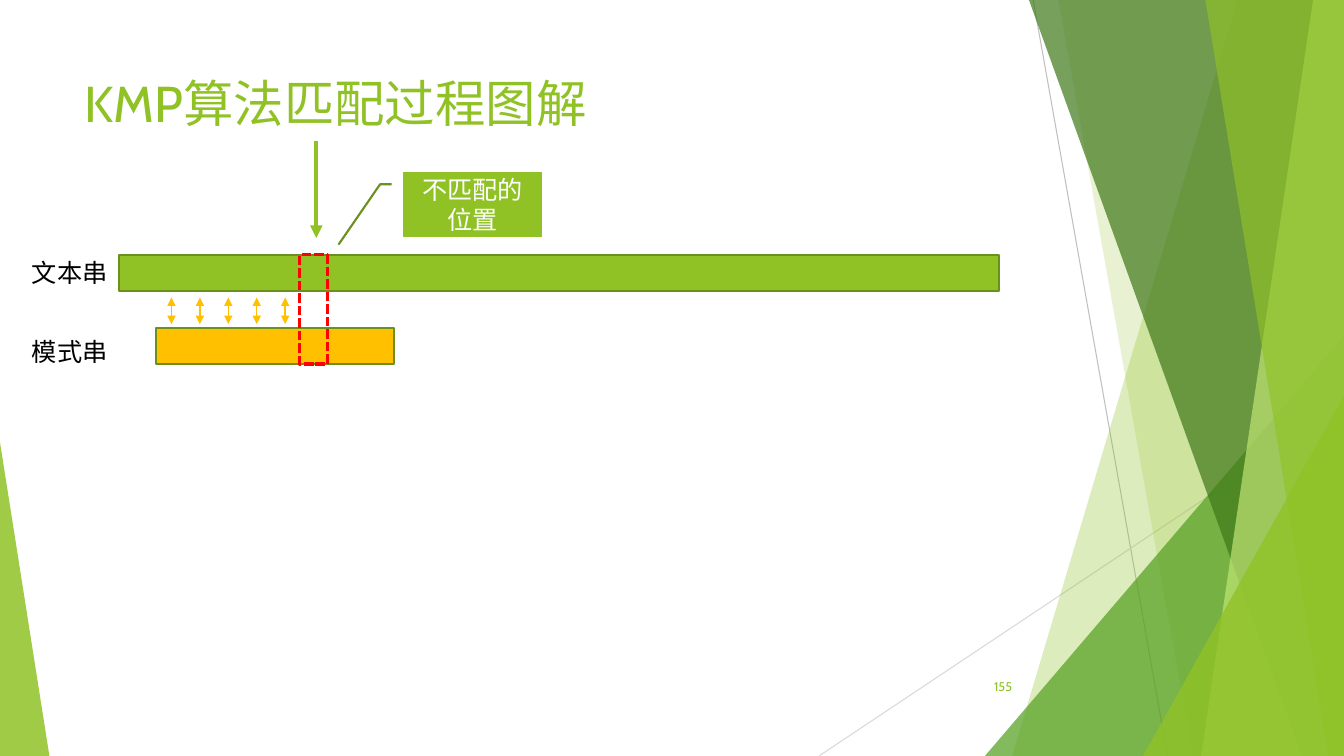
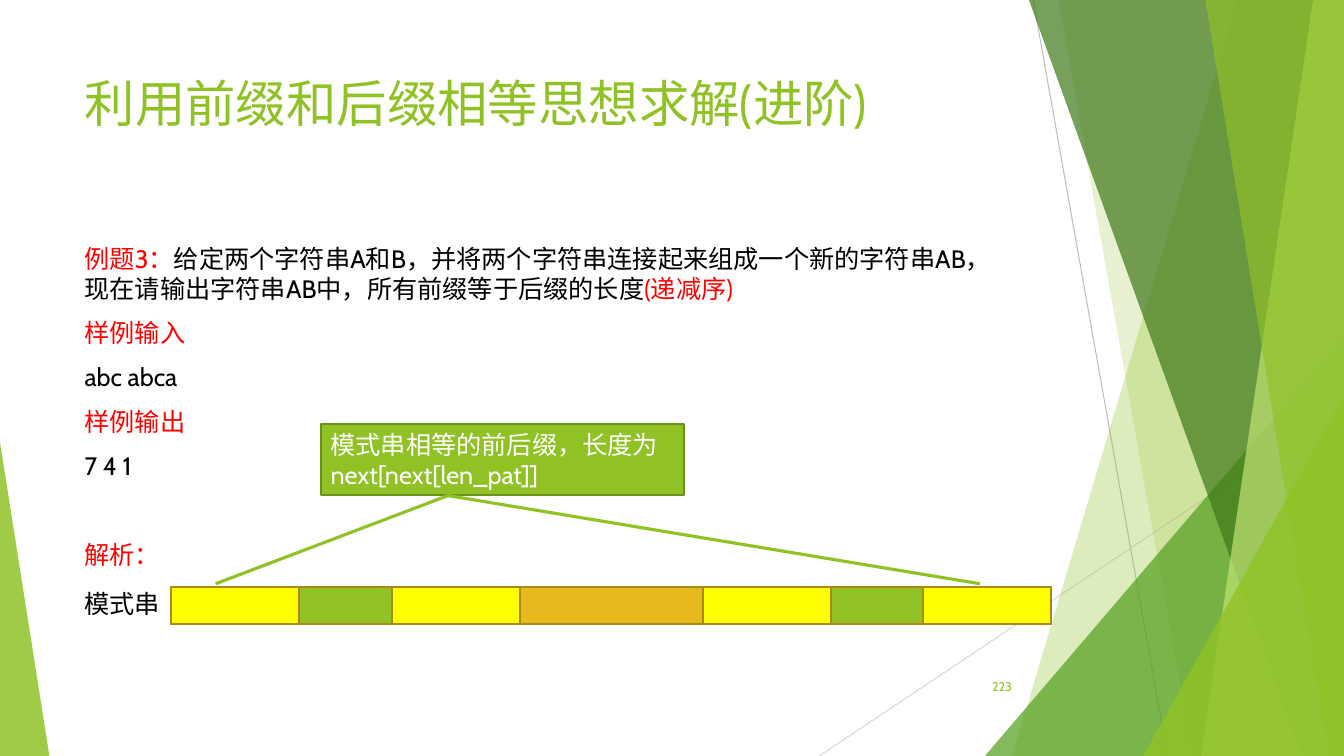
import pptx
import pptx.util
import pptx.dml.color
import pptx.enum.dml
import pptx.enum.shapes
import pptx.enum.text
import pptx.oxml
import pptx.oxml.ns

Pt = pptx.util.Pt
RGB = pptx.dml.color.RGBColor
SHAPE = pptx.enum.shapes.MSO_SHAPE
ALIGN = pptx.enum.text.PP_ALIGN
ANCHOR = pptx.enum.text.MSO_ANCHOR

WIDTH, HEIGHT = 960, 540
FONT = "Cabin"
GREEN = RGB(0x90, 0xC2, 0x26)
DARK_GREEN = RGB(0x6B, 0x90, 0x1C)
MID_GREEN = RGB(0x54, 0xA0, 0x21)
FOREST = RGB(0x3F, 0x78, 0x19)
PALE_GREEN = RGB(0xC0, 0xE4, 0x74)
AMBER = RGB(0xFF, 0xC0, 0x00)
GOLD = RGB(0xE6, 0xB9, 0x1E)
BROWN = RGB(0xAA, 0x89, 0x16)
YELLOW = RGB(0xFF, 0xFF, 0x00)
RED = RGB(0xFF, 0x00, 0x00)
BLACK = RGB(0x00, 0x00, 0x00)
WHITE = RGB(0xFF, 0xFF, 0xFF)
GREY = RGB(0xBF, 0xBF, 0xBF)
LIGHT_GREY = RGB(0xD9, 0xD9, 0xD9)

# Shared backdrop, from back to front
RULES = [((738, 0), (834, HEIGHT), GREY), ((WIDTH, 290), (585, HEIGHT), LIGHT_GREY)]
# band: x at top, x at bottom, colour, opacity; it reaches the right edge
# wedge: left, top, width, apex, colour, opacity; it reaches the bottom edge
BACKDROP = [
    ("band", 884, 723, GREEN, 30),
    ("band", 756, 852, GREEN, 20),
    ("wedge", 703.5, 240, 256.5, 1, MID_GREEN, 72),
    ("band", 735, 930, FOREST, 70),
    ("band", 938, 858, PALE_GREEN, 70),
    ("band", 861, 949, GREEN, 65),
    ("wedge", 816.5, 283, 143.5, 1, GREEN, 80),
    ("wedge", 0, 316, 35.3, 0, GREEN, 85),
]

# Slide content
MATCHING = {
    "title": "KMP算法匹配过程图解",
    "number": "155",
    "text_label": "文本串",
    "pattern_label": "模式串",
    "mismatch": "不匹配的位置",
}
BORDERS = {
    "title": "利用前缀和后缀相等思想求解(进阶)",
    "number": "223",
    "problem": [  # space before, runs
        (0, [("例题3：", RED),
             ("给定两个字符串A和B，并将两个字符串连接起来组成一个新的字符串AB，"
              "现在请输出字符串AB中，所有前缀等于后缀的长度", BLACK),
             ("(递减序)", RED)]),
        (10, [("样例输入", RED)]),
        (10, [("abc abca", BLACK)]),
        (10, [("样例输出", RED)]),
        (10, [("7 4 1", BLACK)]),
        (42, [("解析：", RED)]),
    ],
    "pattern_label": "模式串",
    "note": "模式串相等的前后缀，长度为next[next[len_pat]]",
}
BAR_WIDTH, BAR_HEIGHT = 628.5, 26
MATCHED = 5


def style(paragraph, size, color=None, align=ALIGN.LEFT):
    paragraph.alignment = align
    paragraph.font.name = FONT
    paragraph.font.size = Pt(size)
    if color is not None:
        paragraph.font.color.rgb = color


def set_text(frame, text, size, color, align=ALIGN.LEFT, anchor=ANCHOR.TOP, wrap=True):
    frame.word_wrap = wrap
    frame.vertical_anchor = anchor
    frame.text = text
    style(frame.paragraphs[0], size, color, align)


def place(left, top, width, height):
    return Pt(left), Pt(top), Pt(width), Pt(height)


def paint(shape, fill, line=None, weight=1.5, opacity=100):
    shape.shadow.inherit = False
    if fill is None:
        shape.fill.background()
    else:
        shape.fill.solid()
        shape.fill.fore_color.rgb = fill
        if opacity < 100:
            rgb = shape.fill._xPr.find(".//" + pptx.oxml.ns.qn("a:srgbClr"))
            rgb.append(xml(f'<a:alpha {{ns}} val="{opacity * 1000}"/>'))
    if line is None:
        shape.line.fill.background()
    else:
        shape.line.color.rgb = line
        shape.line.width = Pt(weight)


def xml(template):
    return pptx.oxml.parse_xml(template.format(ns=pptx.oxml.ns.nsdecls("a")))


def add_box(slide, box, fill, line=None, weight=1.5, kind=SHAPE.RECTANGLE):
    shape = slide.shapes.add_shape(kind, *place(*box))
    paint(shape, fill, line, weight)
    return shape


def add_line(slide, start, end, color, weight, ends=()):
    line = slide.shapes.add_connector(
        pptx.enum.shapes.MSO_CONNECTOR.STRAIGHT, *map(Pt, start + end))
    line.line.color.rgb = color
    line.line.width = Pt(weight)
    for end_name in ends:
        line.line._get_or_add_ln().append(xml(f'<a:{end_name} {{ns}} type="triangle"/>'))
    line._element.spPr.append(xml("<a:effectLst {ns}/>"))


def add_label(slide, left, top, text):
    label = slide.shapes.add_textbox(*place(left, top, 69, 29))
    set_text(label.text_frame, text, 18, BLACK, wrap=False)


def add_band(slide, top_x, bottom_x, color, opacity):
    builder = slide.shapes.build_freeform(top_x, 0, scale=Pt(1))
    builder.add_line_segments([(WIDTH, 0), (WIDTH, HEIGHT), (bottom_x, HEIGHT)])
    paint(builder.convert_to_shape(), color, opacity=opacity)


def add_wedge(slide, left, top, width, apex, color, opacity):
    wedge = slide.shapes.add_shape(
        SHAPE.ISOSCELES_TRIANGLE, *place(left, top, width, HEIGHT - top))
    wedge.adjustments[0] = apex
    paint(wedge, color, opacity=opacity)


def add_slide(prs, content):
    slide = prs.slides.add_slide(prs.slide_layouts.get_by_name("Title Only"))
    for start, end, color in RULES:
        add_line(slide, start, end, color, 0.75)
    draw = {"band": add_band, "wedge": add_wedge}
    for kind, *values in BACKDROP:
        draw[kind](slide, *values)
    title = slide.shapes.title
    title.left, title.top, title.width, title.height = place(53.3, 48, 677, 104)
    set_text(title.text_frame, content["title"], 36, GREEN)
    number = slide.shapes.add_textbox(*place(676, 476, 54, 29))
    set_text(number.text_frame, content["number"], 9, GREEN, ALIGN.RIGHT, ANCHOR.MIDDLE)
    return slide


def build_matching(prs):
    slide = add_slide(prs, MATCHING)
    text_top, pattern_top = 182, 234
    # Text and pattern bars
    add_box(slide, (85, text_top, BAR_WIDTH, BAR_HEIGHT), GREEN, DARK_GREEN)
    add_box(slide, (111.5, pattern_top, 170, BAR_HEIGHT), AMBER, DARK_GREEN)
    add_label(slide, 15.8, 180, MATCHING["text_label"])
    add_label(slide, 15.8, 237, MATCHING["pattern_label"])
    # Matched characters
    for i in range(MATCHED):
        x = 122.5 + 20.3 * i
        add_line(slide, (x, 212.5), (x, 231.5), AMBER, 1, ("headEnd", "tailEnd"))
    # Mismatch
    mismatch = add_box(slide, (214, text_top, 20, pattern_top + BAR_HEIGHT - text_top),
                       None, RED, 2.25)
    mismatch.line.dash_style = pptx.enum.dml.MSO_LINE.SQUARE_DOT
    callout = add_box(slide, (288, 123, 99, 46), GREEN, DARK_GREEN,
                      kind=SHAPE.LINE_CALLOUT_2_NO_BORDER)
    set_text(callout.text_frame, MATCHING["mismatch"], 18, WHITE, ALIGN.CENTER, ANCHOR.MIDDLE)
    add_line(slide, (226, 101), (226, 170), GREEN, 3, ("tailEnd",))


def build_borders(prs):
    slide = add_slide(prs, BORDERS)
    # Problem statement
    problem = slide.shapes.add_textbox(*place(53.3, 170, 677, 305)).text_frame
    problem.word_wrap = True
    for i, (space, runs) in enumerate(BORDERS["problem"]):
        paragraph = problem.add_paragraph() if i else problem.paragraphs[0]
        paragraph.space_before = Pt(space)
        style(paragraph, 18, runs[0][1] if len(runs) == 1 else None)
        for text, color in runs:
            run = paragraph.add_run()
            run.text = text
            if len(runs) > 1:
                run.font.color.rgb = color
    # Pattern bar: a border at both ends, each with a shorter border at both ends
    bar_left, bar_top = 122.4, 419.5
    border_width, inner_width = 249, 91.5
    add_label(slide, 53.3, 417, BORDERS["pattern_label"])
    add_box(slide, (bar_left, bar_top, BAR_WIDTH, BAR_HEIGHT), GOLD, BROWN)
    for border_left in (bar_left, bar_left + BAR_WIDTH - border_width):
        add_box(slide, (border_left, bar_top, border_width, BAR_HEIGHT), GREEN, BROWN)
        for inner_left in (border_left, border_left + border_width - inner_width):
            add_box(slide, (inner_left, bar_top, inner_width, BAR_HEIGHT), YELLOW, BROWN)
    # Note on the shorter border
    note = add_box(slide, (229, 303, 259.5, 50.5), GREEN, DARK_GREEN)
    set_text(note.text_frame, BORDERS["note"], 18, WHITE, anchor=ANCHOR.MIDDLE)
    for x in (154, 700):
        add_line(slide, (x, 417), (320, 354), GREEN, 2.25)


def main():
    prs = pptx.Presentation()
    prs.slide_width, prs.slide_height = Pt(WIDTH), Pt(HEIGHT)
    build_matching(prs)
    build_borders(prs)
    prs.save("out.pptx")


if __name__ == "__main__":
    main()
